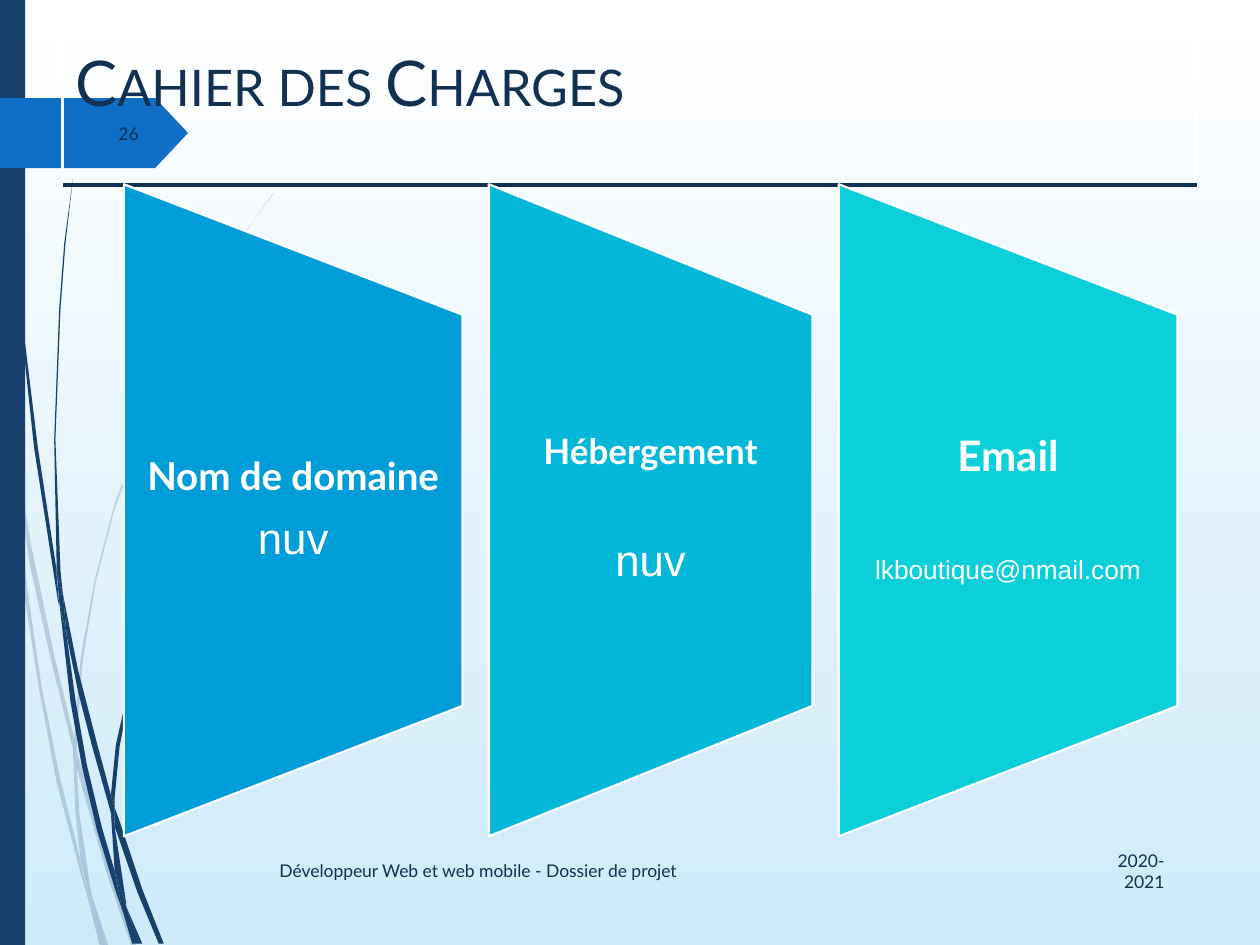
from pptx import Presentation
from pptx import util as u
from pptx.dml import color
from pptx.enum import shapes, text
from pptx.oxml import ns
from lxml import etree

Pt = u.Pt
NAVY = color.RGBColor(0x17, 0x40, 0x6D)
INK = color.RGBColor(0x11, 0x30, 0x52)
BLUE = color.RGBColor(0x0F, 0x6F, 0xC6)
WHITE = color.RGBColor(0xFF, 0xFF, 0xFF)
SKY = color.RGBColor(0xCE, 0xEA, 0xF9)
AZURE = color.RGBColor(0x00, 0x9D, 0xD9)
CYAN = color.RGBColor(0x05, 0xB7, 0xD9)
TURQUOISE = color.RGBColor(0x0B, 0xD0, 0xD9)

WISP_UNIT = Pt(0.72)
PALE_WISPS = [
    [(8, 350), (6, 322), (0, 282), (0, 299), (7, 344)],
    [(40, 522), (59, 599), (59, 586), (43, 520), (25, 434), (10, 345), (12, 376), (24, 450)],
    [(64, 607), (61, 596), (61, 610), (85, 694), (104, 750), (108, 750), (88, 692)],
    [(83, 750), (86, 750), (73, 711)],
    [(64, 683), (48, 619), (33, 545), (22, 469), (12, 376), (8, 350), (19, 470), (31, 547),
     (45, 621), (64, 693), (70, 714), (69, 707)],
    [(58, 599), (60, 646), (64, 683), (67, 692), (73, 711), (72, 706), (63, 646), (61, 610),
     (61, 608)],
    [(61, 584), (66, 522), (76, 462), (91, 404), (111, 349), (133, 296), (159, 245), (187, 198),
     (201, 175), (217, 154), (217, 153), (201, 175), (186, 197), (158, 244), (132, 295),
     (110, 348), (90, 403), (75, 461), (64, 522), (59, 584), (59, 586), (61, 596)],
    [(70, 714), (79, 750), (82, 750)],
    [(61, 608), (61, 610), (61, 596), (59, 586), (58, 599)],
    [(67, 692), (65, 683), (69, 707), (70, 714), (82, 750), (83, 750), (73, 711)],
]
DARK_WISPS = [
    [(5, 110), (14, 233), (27, 355), (46, 477), (47, 481), (45, 457), (45, 453), (30, 355),
     (15, 232), (6, 109), (4, 48), (3, 0), (2, 0), (3, 48)],
    [(73, 592), (88, 645), (88, 633), (88, 631), (77, 590), (62, 532), (50, 472), (53, 505),
     (62, 549)],
    [(94, 649), (91, 641), (91, 656), (109, 708), (126, 749), (130, 749), (113, 706)],
    [(91, 691), (81, 657), (69, 607), (60, 556), (53, 505), (47, 477), (56, 557), (65, 608),
     (77, 659), (92, 708), (97, 722), (96, 717)],
    [(50, 472), (48, 453), (44, 349), (48, 245), (52, 193), (58, 141), (51, 193), (47, 245),
     (43, 349), (45, 449), (49, 472)],
    [(110, 749), (113, 749), (100, 719)],
    [(47, 477), (53, 505), (50, 472), (49, 472), (45, 449), (45, 453)],
    [(91, 633), (95, 592), (103, 552), (115, 513), (131, 476), (149, 440), (169, 406), (191, 374),
     (203, 359), (216, 344), (215, 344), (203, 358), (191, 373), (168, 405), (147, 439),
     (129, 474), (113, 512), (101, 551), (92, 591), (88, 631), (91, 641)],
    [(97, 722), (105, 749), (108, 749)],
    [(88, 645), (91, 691), (96, 706), (100, 719), (100, 716), (91, 656), (90, 651)],
    [(88, 645), (90, 651), (91, 656), (91, 641), (88, 631), (88, 633)],
    [(96, 706), (91, 691), (96, 717), (97, 722), (108, 749), (110, 749), (100, 719)],
]
PANELS = [
    (193.5, AZURE, ("Nom de domaine", 22), ("nuv", 25), 10),
    (185, CYAN, ("Hébergement", 20), ("nuv", 25), 38),
    (193.5, TURQUOISE, ("Email", 24), ("lkboutique@nmail.com", 15), 44),
]


def apply(target, **values):
    """Set each named value as an attribute of the target."""
    for name, value in values.items():
        setattr(target, name, value)


def paint(shape, fill=None, line=None, weight=1):
    """Give a shape its fill and outline, without a shadow."""
    shape.shadow.inherit = False
    for part, shade in ((shape.fill, fill), (shape.line.fill, line)):
        if shade is None:
            part.background()
        else:
            part.solid()
            part.fore_color.rgb = shade
    if line is not None:
        shape.line.width = Pt(weight)


def write(para, words, align=text.PP_ALIGN.LEFT, **font):
    """Write one span in a paragraph with the given font values."""
    para.alignment = align
    span = para.add_run()
    span.text = words
    apply(span.font, **font)
    return span


def text_box(page, box, inset=7.2):
    """Add a wrapping text box centred vertically and return its frame."""
    frame = page.shapes.add_textbox(*map(Pt, box)).text_frame
    apply(frame, word_wrap=True, vertical_anchor=text.MSO_ANCHOR.MIDDLE,
          margin_left=Pt(inset), margin_right=Pt(inset))
    return frame


def add_wisps(page, outlines, opacity=100):
    """Draw the curved strands at the given opacity in percent."""
    for start, *rest in outlines:
        builder = page.shapes.build_freeform(*start, scale=WISP_UNIT)
        builder.add_line_segments(rest)
        strand = builder.convert_to_shape()
        paint(strand, NAVY)
        if opacity < 100:
            for shade in strand._element.spPr.iter(ns.qn("a:srgbClr")):
                etree.SubElement(shade, ns.qn("a:alpha"), val=str(opacity * 1000))


def add_backdrop(page):
    """Draw the gradient, the strands, the side band and the number tag."""
    fill = page.background.fill
    fill.gradient()
    fill.gradient_angle = 270
    for stop, shade in zip(fill.gradient_stops, (WHITE, SKY)):
        stop.color.rgb = shade
    add_wisps(page, PALE_WISPS, 20)
    add_wisps(page, DARK_WISPS)
    band = page.shapes.add_shape(shapes.MSO_SHAPE.RECTANGLE, 0, 0, Pt(14.4), Pt(540))
    paint(band, NAVY)
    tag = page.shapes.add_shape(shapes.MSO_SHAPE.PENTAGON, 0, Pt(56), Pt(107.5), Pt(40))
    tag.adjustments[0] = 0.47
    paint(tag, BLUE)


def add_title(page, box):
    """Place the framed title in small capitals with a rule below it."""
    left, top, width, height = box
    title = page.shapes.add_shape(shapes.MSO_SHAPE.RECTANGLE, *map(Pt, box))
    paint(title, line=WHITE, weight=1.75)
    frame = title.text_frame
    apply(frame, word_wrap=True, vertical_anchor=text.MSO_ANCHOR.TOP)
    para = frame.paragraphs[0]
    para.line_spacing = 1.5
    span = write(para, "Cahier des Charges", name="Lato", size=Pt(36))
    span.font.color.rgb = INK
    span._r.get_or_add_rPr().set("cap", "small")
    bottom = top + height
    rule = page.shapes.add_connector(
        shapes.MSO_CONNECTOR.STRAIGHT, *map(Pt, (left, bottom, left + width, bottom)))
    apply(rule.line, width=Pt(2.25))
    rule.line.color.rgb = INK
    etree.SubElement(rule._element.spPr, ns.qn("a:effectLst"))


def add_label(page, box, words, align):
    """Place one small footer label."""
    para = text_box(page, box).paragraphs[0]
    span = write(para, words, align, name="Lato", size=Pt(10))
    span.font.color.rgb = INK


def add_panel(page, box, fill, heading, detail, gap):
    """Place one sideways trapezoid with its heading and detail."""
    left, top, width, height = box
    panel = page.shapes.add_shape(
        shapes.MSO_SHAPE.FLOWCHART_MANUAL_OPERATION,
        Pt(left + (width - height) / 2), Pt(top + (height - width) / 2), Pt(height), Pt(width))
    panel.rotation = 270
    paint(panel, fill, WHITE, 1.25)
    frame = text_box(page, (left, top + height / 5, width, height * 0.6), 10.5)
    first, second = frame.paragraphs[0], frame.add_paragraph()
    second.space_before = Pt(gap)
    for para, (words, size), name in ((first, heading, "Lato"), (second, detail, "Arial")):
        para.line_spacing = 0.9
        span = write(para, words, text.PP_ALIGN.CENTER,
                     name=name, size=Pt(size), bold=para is first)
        span.font.color.rgb = WHITE


def add_panels(page, box, gap=15):
    """Place the panels side by side from the left of the box."""
    left, top, height = box
    for width, *content in PANELS:
        add_panel(page, (left, top, width, height), *content)
        left += width + gap


def main():
    """Build the slide and save it."""
    deck = Presentation()
    apply(deck, slide_width=Pt(720), slide_height=Pt(540))
    page = deck.slides.add_slide(deck.slide_layouts[6])
    add_backdrop(page)
    add_title(page, (36, 0, 648, 105.8))
    add_label(page, (612, 483, 60.5, 29), "2020-2021", text.PP_ALIGN.RIGHT)
    add_label(page, (152.6, 483, 450, 29),
              "Développeur Web et web mobile - Dossier de projet", text.PP_ALIGN.LEFT)
    add_label(page, (40.3, 62, 46, 29), "26", text.PP_ALIGN.RIGHT)
    add_panels(page, (70.8, 105.3, 372.6))
    deck.save("out.pptx")


if __name__ == "__main__":
    main()
